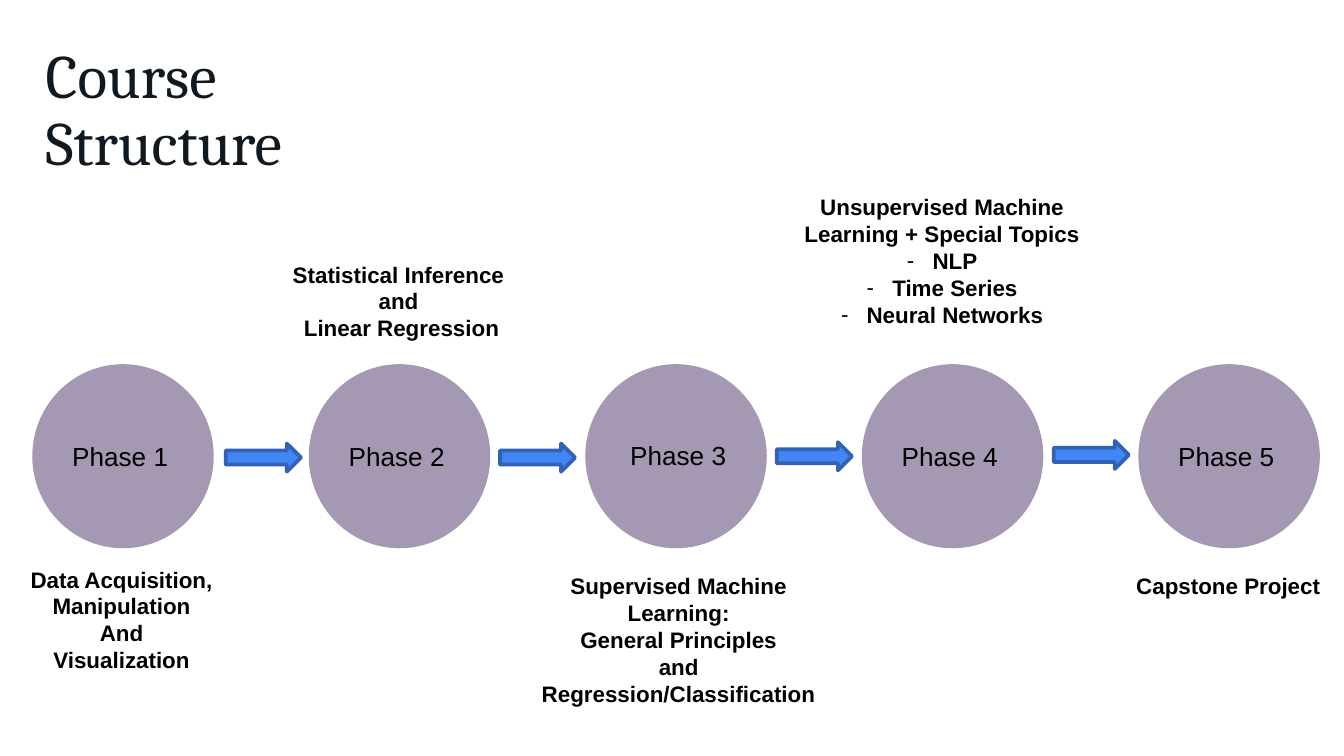
import pptx
import pptx.util
import pptx.dml.color
import pptx.enum.shapes
import pptx.enum.text
import lxml.etree
from pptx.util import Inches

BLACK = pptx.dml.color.RGBColor(0x00, 0x00, 0x00)
INK = pptx.dml.color.RGBColor(0x10, 0x18, 0x20)
MAUVE = pptx.dml.color.RGBColor(0xA5, 0x98, 0xB2)
BLUE = pptx.dml.color.RGBColor(0x42, 0x85, 0xF4)
DARK_BLUE = pptx.dml.color.RGBColor(0x31, 0x62, 0xB5)
SHAPE = pptx.enum.shapes.MSO_SHAPE
ANCHOR = pptx.enum.text.MSO_ANCHOR
ALIGN = pptx.enum.text.PP_ALIGN


def style_text(paragraph, size, align, name="Arial", color=BLACK, bold=False):
    paragraph.alignment = align
    for run in paragraph.runs:
        run.font.name = name
        run.font.size = pptx.util.Pt(size)
        run.font.color.rgb = color
        run.font.bold = bold


def add_dash(paragraph):
    properties = paragraph._p.get_or_add_pPr()
    properties.set("marL", str(Inches(0.19)))
    properties.set("indent", str(-Inches(0.19)))
    for tag, attribute, value in (("buFont", "typeface", "Arial"), ("buChar", "char", "-")):
        element = lxml.etree.SubElement(properties, pptx.oxml.ns.qn("a:" + tag))
        element.set(attribute, value)


presentation = pptx.Presentation()
presentation.slide_width = Inches(10)
presentation.slide_height = Inches(10 * 9 / 16)
slide = presentation.slides.add_slide(presentation.slide_layouts[5])

title = slide.shapes.title
title.left, title.top = Inches(0.24), Inches(0.24)
title.width, title.height = Inches(3.15), Inches(1.67)
heading = title.text_frame
heading.text = "Course Structure"
heading.word_wrap = True
heading.auto_size = pptx.enum.text.MSO_AUTO_SIZE.NONE
heading.vertical_anchor = ANCHOR.TOP
heading.margin_left = heading.margin_right = Inches(0.1)
heading.margin_top = heading.margin_bottom = Inches(0.1)
heading.paragraphs[0].line_spacing = 0.9
style_text(heading.paragraphs[0], 33, ALIGN.LEFT, "Cambria", INK)

first_left, last_left = 0.24, 8.47
for index in range(5):
    left = first_left + (last_left - first_left) * index / 4
    circle = slide.shapes.add_shape(
        SHAPE.OVAL, Inches(left), Inches(2.71), Inches(1.35), Inches(1.37))
    circle.shadow.inherit = False
    circle.fill.solid()
    circle.fill.fore_color.rgb = MAUVE
    circle.line.fill.background()
    label = circle.text_frame
    if index == 2:
        label = slide.shapes.add_textbox(
            Inches(4.59), Inches(3.22), Inches(5), Inches(0.34)).text_frame
    else:
        label.margin_left = label.margin_right = Inches(0.1)
        label.margin_top = label.margin_bottom = Inches(0.1)
        label.vertical_anchor = ANCHOR.MIDDLE
    label.word_wrap = True
    label.text = f"Phase {index + 1}"
    style_text(label.paragraphs[0], 14, ALIGN.LEFT)

topics = [
    (0.04, 4.16, 1.73, 0.91, ["Data Acquisition, Manipulation", "And", "Visualization"], []),
    (2.04, 1.89, 1.85, 0.71, ["Statistical Inference", "and", " Linear Regression"], []),
    (3.92, 4.21, 2.26, 1.11, ["Supervised Machine Learning:", "General Principles", "and",
                              "Regression/Classification"], []),
    (5.75, 1.39, 2.52, 1.11, ["Unsupervised Machine Learning + Special Topics"],
     ["NLP", "Time Series", "Neural Networks"]),
    (8.01, 4.21, 2.26, 0.3, ["Capstone Project"], []),
]
for left, top, width, height, lines, dashed in topics:
    topic = slide.shapes.add_textbox(
        Inches(left), Inches(top), Inches(width), Inches(height)).text_frame
    topic.word_wrap = True
    topic.text = "\n".join(lines + dashed)
    for position, paragraph in enumerate(topic.paragraphs):
        if position >= len(lines):
            add_dash(paragraph)
        style_text(paragraph, 12, ALIGN.CENTER, bold=True)

for left, top in ((1.68, 3.3), (3.72, 3.3), (5.78, 3.29), (7.84, 3.28)):
    arrow = slide.shapes.add_shape(
        SHAPE.RIGHT_ARROW, Inches(left), Inches(top), Inches(0.56), Inches(0.21))
    arrow.shadow.inherit = False
    arrow.fill.solid()
    arrow.fill.fore_color.rgb = BLUE
    arrow.line.color.rgb = DARK_BLUE
    arrow.line.width = pptx.util.Pt(2)

presentation.save("out.pptx")
